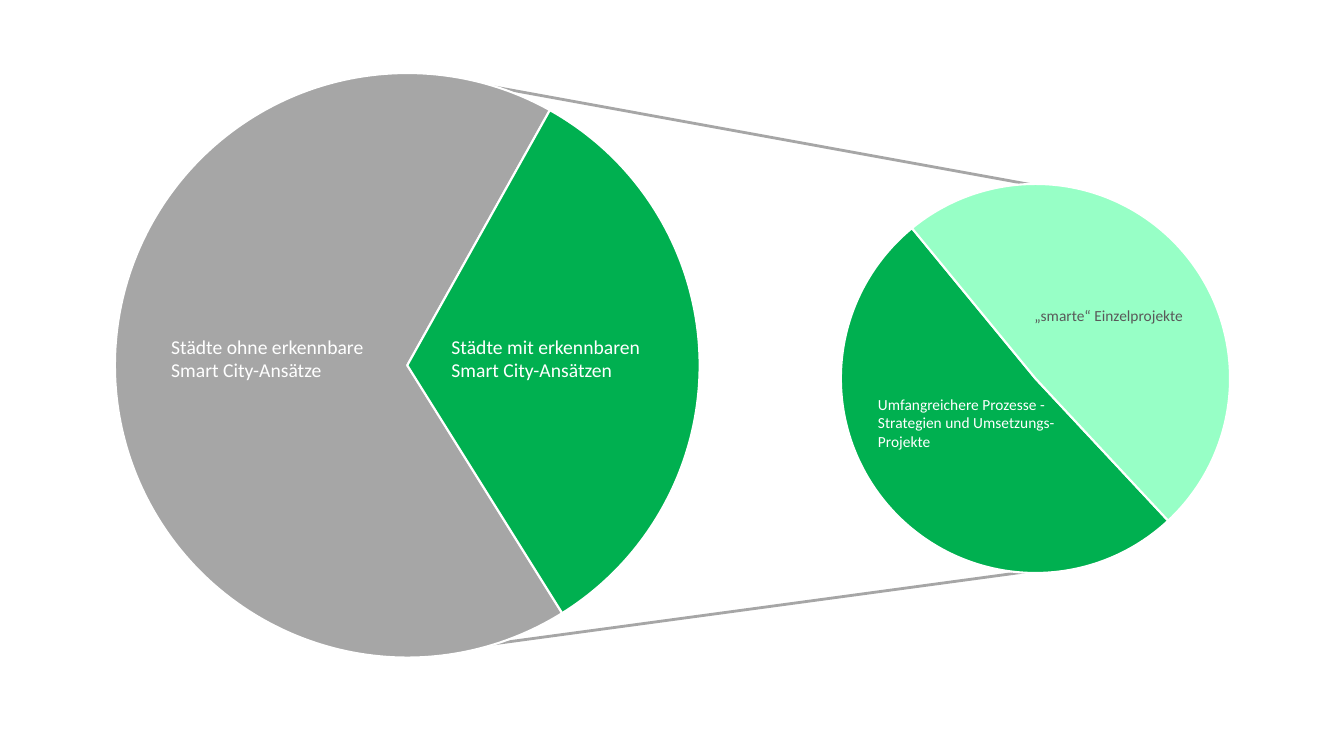
from dataclasses import dataclass

from lxml import etree
from pptx import Presentation
from pptx.chart.data import CategoryChartData
from pptx.dml.color import RGBColor
from pptx.enum.chart import XL_CHART_TYPE
from pptx.enum.shapes import MSO_CONNECTOR
from pptx.enum.text import MSO_AUTO_SIZE
from pptx.oxml import parse_xml
from pptx.oxml.ns import nsdecls, qn
from pptx.util import Inches, Pt


@dataclass(frozen=True)
class Theme:
    font: str = "Calibri"
    gray: str = "A6A6A6"
    green: str = "00B050"
    mint: str = "97FFC6"
    white: str = "FFFFFF"
    dark: str = "595959"
    black: str = "000000"
    chart_size: int = 10
    small_size: int = 11
    large_size: int = 14
    edge_width: float = 1.5
    line_width: float = 2


THEME = Theme()


def color(value):
    return RGBColor.from_string(value)


def add_zoom_line(slide, start, end):
    line = slide.shapes.add_connector(
        MSO_CONNECTOR.STRAIGHT, *(Inches(value) for value in (*start, *end)))
    line.line.color.rgb = color(THEME.gray)
    line.line.width = Pt(THEME.line_width)
    etree.SubElement(line._element.spPr, qn("a:effectLst"))


def set_pie_geometry(chart, width, height, diameter, start_angle):
    """Centre the pie in its frame, turn it and clear the background."""
    plot_area = chart._chartSpace.chart.plotArea
    for layout in plot_area.findall(qn("c:layout")):
        plot_area.remove(layout)
    share_x, share_y = diameter / width, diameter / height
    plot_area.insert(0, parse_xml(
        f'<c:layout {nsdecls("c")}><c:manualLayout>'
        '<c:layoutTarget val="inner"/><c:xMode val="edge"/><c:yMode val="edge"/>'
        f'<c:x val="{(1 - share_x) / 2:.4f}"/><c:y val="{(1 - share_y) / 2:.4f}"/>'
        f'<c:w val="{share_x:.4f}"/><c:h val="{share_y:.4f}"/>'
        '</c:manualLayout></c:layout>'))

    pie = plot_area.find(qn("c:pieChart"))
    for angle in pie.findall(qn("c:firstSliceAng")):
        pie.remove(angle)
    etree.SubElement(pie, qn("c:firstSliceAng")).set("val", str(start_angle))

    chart._chartSpace.find(qn("c:txPr")).addprevious(parse_xml(
        f'<c:spPr {nsdecls("c", "a")}><a:noFill/><a:ln><a:noFill/></a:ln></c:spPr>'))


def add_label(slide, box, lines, size, text_color):
    label = slide.shapes.add_textbox(*(Inches(value) for value in box))
    frame = label.text_frame
    frame.word_wrap = False
    frame.auto_size = MSO_AUTO_SIZE.SHAPE_TO_FIT_TEXT
    paragraph = frame.paragraphs[0]
    for index, line in enumerate(lines):
        if index:
            paragraph.add_line_break()
        run = paragraph.add_run()
        run.text = line
        run.font.name = THEME.font
        run.font.size = Pt(size)
        run.font.color.rgb = color(text_color)


def add_pie(slide, box, diameter, start_angle, values, slice_colors, labels, size):
    """Place a pie in the box; label positions are offsets from its corner."""
    left, top, width, height = box
    data = CategoryChartData()
    data.categories = ["1", "2"]
    data.add_series("Series 1", values)
    chart = slide.shapes.add_chart(
        XL_CHART_TYPE.PIE, *(Inches(value) for value in box), data).chart
    chart.has_title = False
    chart.has_legend = False
    chart.font.name = THEME.font
    chart.font.size = Pt(THEME.chart_size)
    chart.font.color.rgb = color(THEME.black)

    # Slices
    plot = chart.plots[0]
    plot.vary_by_categories = True
    for index, slice_color in enumerate(slice_colors):
        point_format = plot.series[0].points[index].format
        point_format.fill.solid()
        point_format.fill.fore_color.rgb = color(slice_color)
        point_format.line.color.rgb = color(THEME.white)
        point_format.line.width = Pt(THEME.edge_width)
    set_pie_geometry(chart, width, height, diameter, start_angle)

    # Slice labels
    for (x, y, label_width, label_height), lines, text_color in labels:
        add_label(slide, (left + x, top + y, label_width, label_height),
                  lines, size, text_color)


def build_slide(presentation):
    slide = presentation.slides.add_slide(presentation.slide_layouts[6])

    # Lines from the large pie to the small one
    add_zoom_line(slide, (4.5, 0.79), (10.27, 1.84))
    add_zoom_line(slide, (4.36, 6.46), (10.27, 5.66))

    # All cities
    add_pie(
        slide, (0.39, 0.23, 7.3, 6.79), 5.8, 148, (67, 33),
        (THEME.gray, THEME.green),
        [((1.21, 3.04, 2.17, 0.57),
          ["Städte ohne erkennbare ", "Smart City-Ansätze"], THEME.white),
         ((3.99, 3.04, 2.14, 0.57),
          ["Städte mit erkennbaren ", "Smart City-Ansätzen"], THEME.white)],
        THEME.large_size)

    # Cities with smart city approaches
    add_pie(
        slide, (8.16, 1.57, 4.22, 4.37), 3.86, 137, (51, 49),
        (THEME.green, THEME.mint),
        [((0.45, 2.3, 1.97, 0.66),
          ["Umfangreichere Prozesse -", "Strategien und Umsetzungs-", "Projekte"],
          THEME.white),
         ((2, 1.42, 1.7, 0.29), ["„smarte“ Einzelprojekte"], THEME.dark)],
        THEME.small_size)


def main():
    presentation = Presentation()
    presentation.slide_width = Inches(13.33)
    presentation.slide_height = Inches(7.5)
    build_slide(presentation)
    presentation.save("out.pptx")


if __name__ == "__main__":
    main()
